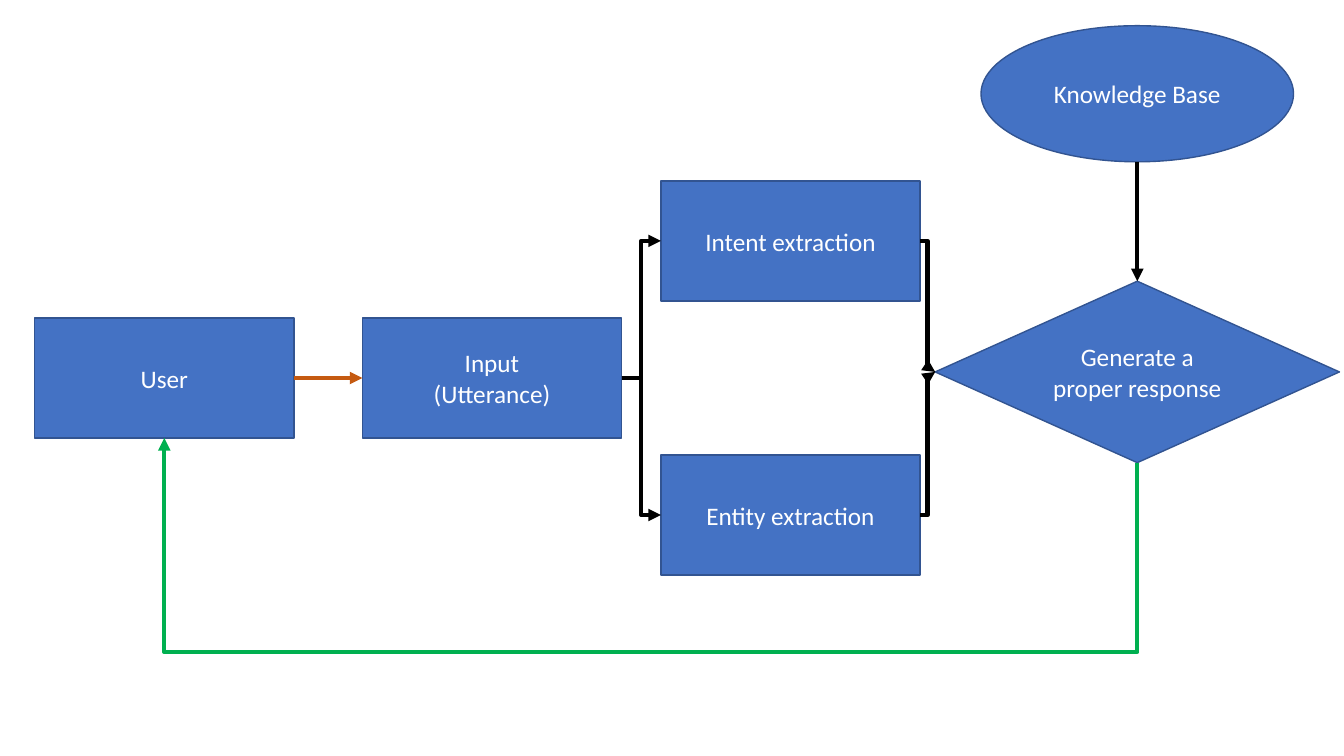
import lxml.etree
import pptx
import pptx.util
import pptx.dml.color
import pptx.enum.shapes
import pptx.enum.text
import pptx.oxml.ns

Inches = pptx.util.Inches
Kind = pptx.enum.shapes.MSO_SHAPE
Link = pptx.enum.shapes.MSO_CONNECTOR
qn = pptx.oxml.ns.qn

THEME = {
    "font": "Calibri", "size": 18, "text": "FFFFFF",
    "fill": "4472C4", "edge": "325491", "edge_pt": 1, "link_pt": 3,
    "ask": "C55A11", "flow": "000000", "reply": "00B050",
}
TOP, LEFT, BOTTOM, RIGHT = range(4)
BOX = (2.57, 1.19)
MID = 3.75
STEP = 1.36
AXIS = 11.28
LOOP = 6.47

NODES = {
    "user": ("User", Kind.RECTANGLE, (1.63, MID), BOX),
    "input": ("Input\n(Utterance)", Kind.RECTANGLE, (4.88, MID), BOX),
    "intent": ("Intent extraction", Kind.RECTANGLE, (7.84, MID - STEP), BOX),
    "entity": ("Entity extraction", Kind.RECTANGLE, (7.84, MID + STEP), BOX),
    "reply": ("Generate a proper response", Kind.DIAMOND, (AXIS, 3.69), (4.01, 1.8)),
    "base": ("Knowledge Base", Kind.OVAL, (AXIS, 0.93), (3.1, 1.35)),
}
LINKS = [
    ("user", RIGHT, "input", LEFT, Link.STRAIGHT, "ask"),
    ("input", RIGHT, "entity", LEFT, Link.ELBOW, "flow"),
    ("input", RIGHT, "intent", LEFT, Link.ELBOW, "flow"),
    ("base", BOTTOM, "reply", TOP, Link.STRAIGHT, "flow"),
    ("intent", RIGHT, "reply", LEFT, Link.ELBOW, "flow"),
    ("entity", RIGHT, "reply", LEFT, Link.ELBOW, "flow"),
]


def color(name):
    return pptx.dml.color.RGBColor.from_string(THEME[name])


def add_node(slide, text, kind, center, size):
    (x, y), (w, h) = center, size
    node = slide.shapes.add_shape(
        kind, Inches(x - w / 2), Inches(y - h / 2), Inches(w), Inches(h))
    node.shadow.inherit = False
    node.fill.solid()
    node.fill.fore_color.rgb = color("fill")
    node.line.color.rgb = color("edge")
    node.line.width = pptx.util.Pt(THEME["edge_pt"])
    frame = node.text_frame
    frame.word_wrap = True
    frame.vertical_anchor = pptx.enum.text.MSO_ANCHOR.MIDDLE
    frame.text = text
    for para in frame.paragraphs:
        para.alignment = pptx.enum.text.PP_ALIGN.CENTER
        para.font.name = THEME["font"]
        para.font.size = pptx.util.Pt(THEME["size"])
        para.font.color.rgb = color("text")
    return node


def port(name, side):
    (x, y), (w, h) = NODES[name][2:]
    dx, dy = [(0, -1), (-1, 0), (0, 1), (1, 0)][side]
    return x + dx * w / 2, y + dy * h / 2


def add_link(slide, kind, start, end, tint):
    link = slide.shapes.add_connector(kind, *map(Inches, start + end))
    link.line.color.rgb = color(tint)
    link.line.width = pptx.util.Pt(THEME["link_pt"])
    props = link.element.spPr
    lxml.etree.SubElement(props.find(qn("a:ln")), qn("a:tailEnd"), type="triangle")
    lxml.etree.SubElement(props, qn("a:effectLst"))
    return link


def add_loop(slide, start, end, low, tint):
    mid_x, mid_y = (start[0] + end[0]) / 2, (start[1] + end[1]) / 2
    span, rise = start[0] - end[0], start[1] - end[1]
    link = add_link(
        slide, Link.ELBOW,
        (mid_x + rise / 2, mid_y - span / 2),
        (mid_x - rise / 2, mid_y + span / 2), tint)
    props = link.element.spPr
    props.find(qn("a:xfrm")).set("rot", str(90 * 60000))
    bends = props.find(qn("a:prstGeom")).find(qn("a:avLst"))
    bend = round((start[1] - low) / rise * 100000)
    lxml.etree.SubElement(bends, qn("a:gd"), name="adj1", fmla=f"val {bend}")


def main():
    deck = pptx.Presentation()
    deck.slide_width, deck.slide_height = Inches(13.33), Inches(7.5)
    slide = deck.slides.add_slide(deck.slide_layouts[6])
    nodes = {name: add_node(slide, *node) for name, node in NODES.items()}
    for source, out, target, into, kind, tint in LINKS:
        link = add_link(slide, kind, port(source, out), port(target, into), tint)
        if kind == Link.STRAIGHT:
            if NODES[source][1] != Kind.OVAL:
                link.begin_connect(nodes[source], out)
            link.end_connect(nodes[target], into)
    add_loop(slide, port("reply", BOTTOM), port("user", BOTTOM), LOOP, "reply")
    deck.save("out.pptx")


if __name__ == "__main__":
    main()
